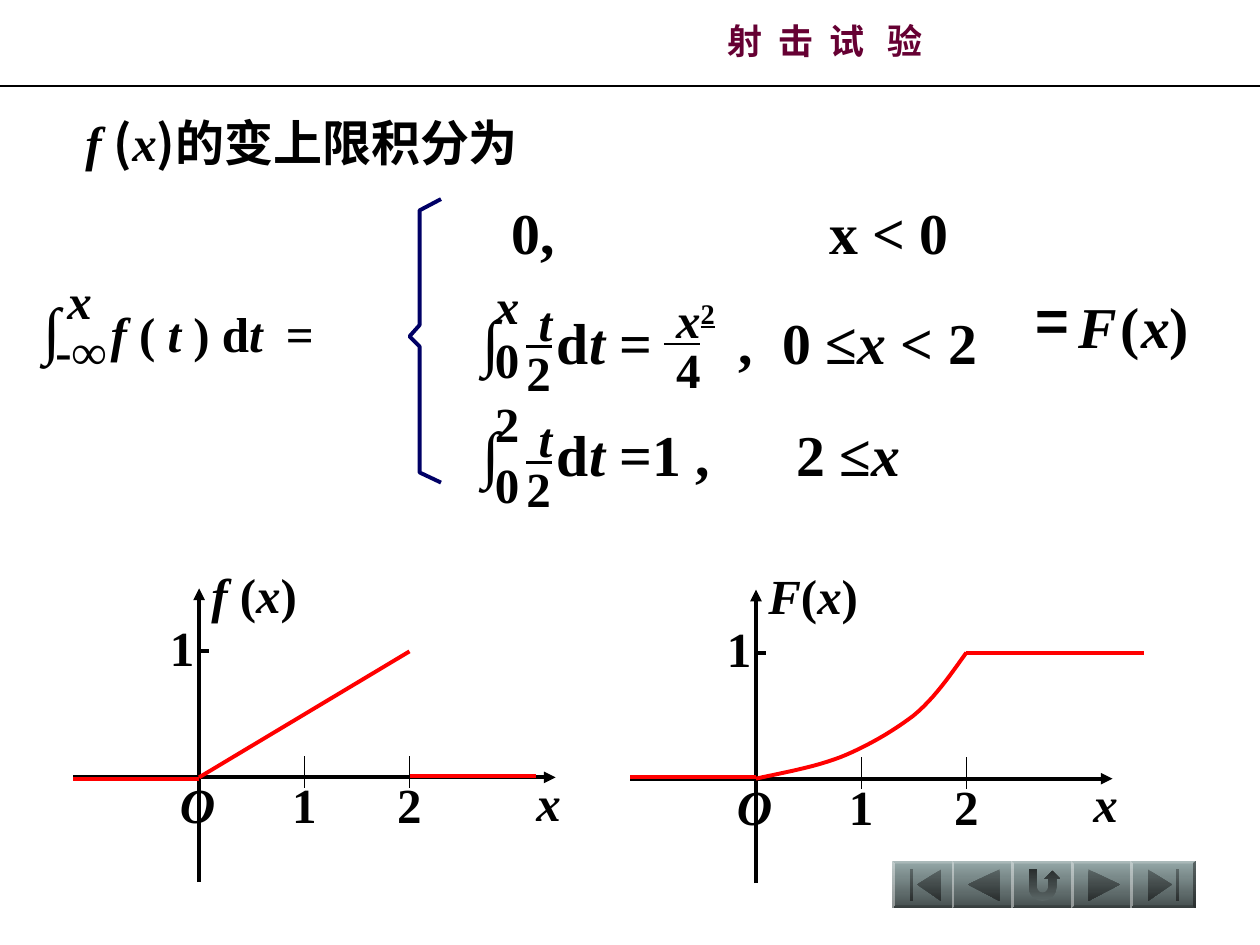
from pptx import Presentation
from pptx.dml.color import RGBColor
from pptx.enum.shapes import MSO_CONNECTOR, MSO_SHAPE
from pptx.enum.text import MSO_ANCHOR, PP_ALIGN
from pptx.oxml.ns import qn
from pptx.util import Inches, Pt
from lxml.etree import SubElement

SERIF, CJK, SANS = "Times New Roman", "Noto Sans CJK SC", "Arial"
BLACK, RED, NAVY, PLUM = "000000", "FF0000", "000066", "660033"

# Text marks: * italic, _ underline, ^ superscript, ~ CJK font
TITLE = "射\t击\t试\t验"
HEAD = "*f *~(~*x*~)的变上限积分为~"
# Formula parts: left, top, width, height, lines, format
PARTS = [
    (0.25, 2.25, 2.83, 0.7, ["∫\t*f *( *t* ) d*t*\t="], {"tabs": [[0.53, 1.92]]}),
    (0.34, 2.1, 0.75, 0.91, ["* x*", "-∞"], {"gaps": [1, 0.2]}),
    (3.83, 1.56, 4.92, 2.32,
     ["\t0,\tx < 0", "∫\td*t* =\t,\t0 ≤*x* < 2", "∫\td*t* =1 ,\t2 ≤*x*"],
     {"size": 33, "pad": 0,
      "tabs": [[0.23, 2.75], [0.59, 2.03, 2.38], [0.59, 2.49]]}),
    (3.83, 2.09, 0.42, 1, ["*x*", "0"], {"gaps": [1.1, 0.3]}),
    (3.83, 3.28, 0.42, 0.81, ["2", "0"], {"gaps": [0.5, 0.5]}),
    (4.08, 2.27, 0.42, 0.91, ["*_ t_*", "2"], {"gaps": [1, 0.2]}),
    (4.08, 3.19, 0.42, 0.91, ["*_ t_*", "2"], {"gaps": [1, 0.2]}),
    (5.17, 2.25, 0.75, 0.91, ["*_ x*^2^_", " 4"], {"gaps": [1, 0.2]}),
]
# Result F(x): left, top, width, sign, font
RESULT = [(8.17, 2.25, 0.36, "=", SANS), (8.56, 2.31, 0.31, "*F*", SERIF),
          (8.89, 2.31, 0.15, "(", SERIF), (9.06, 2.31, 0.23, "*x*", SERIF),
          (9.28, 2.31, 0.15, ")", SERIF)]
BRACE = [(3.5, 1.58), (3.33, 1.67), (3.33, 2.58), (3.25, 2.67),
         (3.33, 2.75), (3.33, 3.75), (3.5, 3.83)]
# Plots: origin and name of the curve
PLOTS = [(1.58, 6.17, "*f *(*x*)"), (6, 6.18, "*F*(*x*)")]
UNIT = 0.835
CURVE = [[(7.67, 5.18), (7.54, 5.36), (7.42, 5.54), (7.25, 5.68)],
         [(7.25, 5.68), (7.08, 5.81), (6.87, 5.93), (6.67, 6.01)],
         [(6.67, 6.01), (6.46, 6.09), (6.23, 6.13), (6, 6.18)]]
# Red lines: from, to
RAYS = [(1.58, 6.17, 3.25, 5.17), (0.58, 6.18, 1.58, 6.18),
        (3.25, 6.16, 4.25, 6.16), (5, 6.17, 6, 6.17), (7.67, 5.18, 9.08, 5.18)]
# Button icons: outlines relative to the button's corner
ICONS = [
    [[(0.2, 0.19), (0.39, 0.07), (0.39, 0.32)],
     [(0.14, 0.07), (0.17, 0.07), (0.17, 0.32), (0.14, 0.32)]],
    [[(0.13, 0.19), (0.38, 0.07), (0.38, 0.32)]],
    [],
    [[(0.14, 0.07), (0.39, 0.19), (0.14, 0.32)]],
    [[(0.33, 0.19), (0.14, 0.32), (0.14, 0.07)],
     [(0.36, 0.07), (0.39, 0.07), (0.39, 0.32), (0.36, 0.32)]],
]

deck = Presentation()
deck.slide_width, deck.slide_height = Inches(10), Inches(7.5)
slide = deck.slides.add_slide(deck.slide_layouts[5])
shapes = slide.shapes


def rgb(code):
    return RGBColor.from_string(code)


def fill_runs(para, text, size, font, color):
    """Split marked text into runs."""
    on, parts = set(), [("", set())]
    for sign in text:
        if sign in "*_^~":
            on = on ^ {sign}
            parts.append(("", on))
        elif sign == "∫":
            parts += [(sign, on | {sign}), ("", on)]
        else:
            parts[-1] = (parts[-1][0] + sign, parts[-1][1])
    for word, marks in parts:
        if not word:
            continue
        run = para.add_run()
        run.text = word
        face = CJK if "~" in marks else font
        look = {"name": face, "size": Pt(36 if "∫" in marks else size),
                "bold": True, "italic": "*" in marks, "underline": "_" in marks}
        for key, value in look.items():
            setattr(run.font, key, value)
        run.font.color.rgb = rgb(color)
        props = run.font._element
        SubElement(props, qn("a:ea")).set("typeface", face)
        if "^" in marks:
            props.set("baseline", "30000")


def write(box, lines, size=28, font=SERIF, color=BLACK, pad=1, gaps=(),
          tabs=(), align=PP_ALIGN.LEFT, wrap=True):
    frame = box.text_frame
    look = {"word_wrap": wrap, "margin_left": Inches(0.1 * pad),
            "margin_right": Inches(0.1 * pad), "margin_top": Inches(0.05 * pad),
            "margin_bottom": Inches(0.05 * pad)}
    for key, value in look.items():
        setattr(frame, key, value)
    for row, text in enumerate(lines):
        para = frame.add_paragraph() if row else frame.paragraphs[0]
        para.alignment = align
        if row:
            para.space_before = Pt(round(size * 0.625, 1))
        if gaps:
            para.line_spacing = float(gaps[row])
        if tabs:
            stops = SubElement(para._p.get_or_add_pPr(), qn("a:tabLst"))
            for stop in tabs[row]:
                tab = SubElement(stops, qn("a:tab"))
                tab.set("pos", str(Inches(stop)))
                tab.set("algn", "l")
        fill_runs(para, text, size, font, color)


def label(x, y, w, h, lines, **look):
    write(shapes.add_textbox(*map(Inches, (x, y, w, h))), lines, **look)


def line(x1, y1, x2, y2, color=BLACK, width=2.25, arrow=False):
    rule = shapes.add_connector(MSO_CONNECTOR.STRAIGHT, *map(Inches, (x1, y1, x2, y2)))
    rule.line.color.rgb, rule.line.width = rgb(color), Pt(width)
    if arrow:
        SubElement(rule.line._get_or_add_ln(), qn("a:tailEnd")).set("type", "triangle")
    SubElement(rule._element.spPr, qn("a:effectLst"))


def outline(points, close=False):
    dots = [(Inches(x), Inches(y)) for x, y in points]
    pen = shapes.build_freeform(*dots[0])
    pen.add_line_segments(dots[1:], close=close)
    shape = pen.convert_to_shape()
    shape.shadow.inherit = False
    return shape


def stroke(points, color):
    shape = outline(points)
    shape.fill.background()
    shape.line.color.rgb, shape.line.width = rgb(color), Pt(2.25)


def shade(shape, top, base):
    shape.shadow.inherit = False
    shape.line.fill.background()
    shape.fill.gradient()
    shape.fill.gradient_angle = 270
    for stop, code in zip(shape.fill.gradient_stops, (top, base)):
        stop.color.rgb = rgb(code)


def bend(points, t):
    """Point of a cubic curve at share t."""
    rates = ((1 - t) ** 3, 3 * t * (1 - t) ** 2, 3 * t * t * (1 - t), t ** 3)
    return tuple(sum(r * p[axis] for r, p in zip(rates, points)) for axis in (0, 1))


# Title and rule
title = shapes.title
title.left, title.top, title.width, title.height = map(Inches, (5.67, 0.17, 4.33, 0.42))
write(title, [TITLE], size=20, font=CJK, color=PLUM, tabs=[[0.41, 0.81, 1.27]])
title.text_frame.vertical_anchor = MSO_ANCHOR.BOTTOM
title.text_frame.margin_bottom = Inches(0.1)
line(0, 0.68, 10, 0.68, width=1.25)

# Heading and formula
label(0.58, 0.9, 4, 0.52, [HEAD], gaps=[0.9])
for x, y, w, h, lines, look in PARTS:
    label(x, y, w, h, lines, **look)
stroke(BRACE, NAVY)
for x, y, w, sign, font in RESULT:
    label(x, y, w, 0.55, [sign], size=33, font=font, pad=0,
          align=PP_ALIGN.CENTER, wrap=False)

# Axes with ticks and labels
for x, y, name in PLOTS:
    line(x - 1, y, x + 2.83, y, arrow=True)
    line(x, y + 0.83, x, y - 1.5, arrow=True)
    line(x, y - 1, x + 0.08, y - 1)
    for step, mark in enumerate(("*O*", "1", "2")):
        spot = x + step * UNIT
        line(spot, y - 0.17, spot, y + 0.08, width=0.75)
        label(spot - 0.25, y - 0.07, 0.5, 0.57, [mark],
              align=PP_ALIGN.CENTER if step else PP_ALIGN.LEFT)
    label(x + 2.58, y - 0.09, 0.5, 0.57, ["*x*"])
    label(x, y - 1.74, 1, 0.57, [name])
    label(x - 0.33, y - 1.32, 0.42, 0.57, ["1"])

# Red graphs
for ray in RAYS:
    line(*ray, color=RED)
stroke([bend(arc, n / 12) for arc in CURVE for n in range(13)], RED)

# Navigation buttons
for col, icon in enumerate(ICONS):
    x, y = 7.08 + col * 0.4725, 6.83
    key = shapes.add_shape(MSO_SHAPE.BEVEL, *map(Inches, (x, y, 0.52, 0.38)))
    key.adjustments[0] = 0.06
    shade(key, "96A9A9", "454E4E")
    signs = [outline([(x + a, y + b) for a, b in dots], True) for dots in icon]
    if not icon:
        turn = shapes.add_shape(MSO_SHAPE.U_TURN_ARROW,
                                *map(Inches, (x + 0.14, y + 0.07, 0.25, 0.25)))
        turn._element.spPr.find(qn("a:xfrm")).set("flipV", "1")
        for spot, value in enumerate((0.25, 0.25, 0.25, 0.45, 0.95)):
            turn.adjustments[spot] = value
        signs = [turn]
    for sign in signs:
        shade(sign, "5A6565", "2A2F2F")

deck.save("out.pptx")
